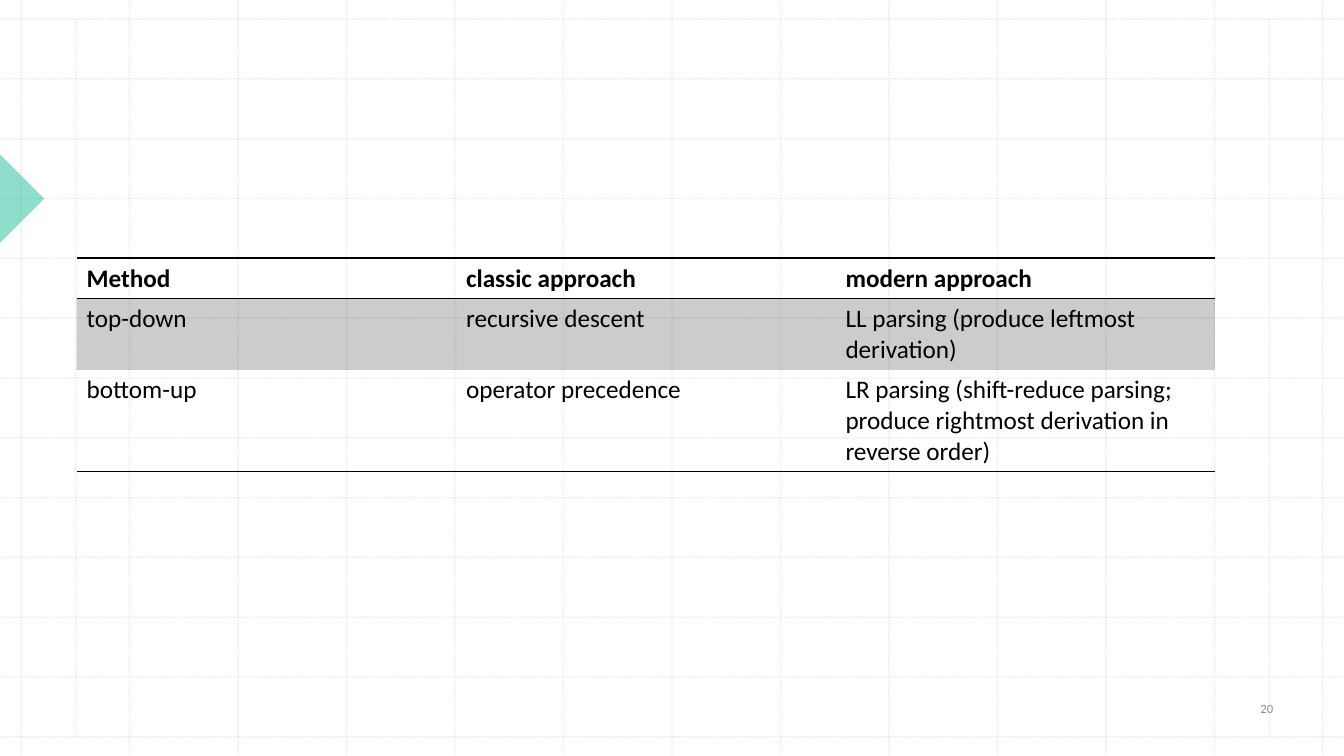
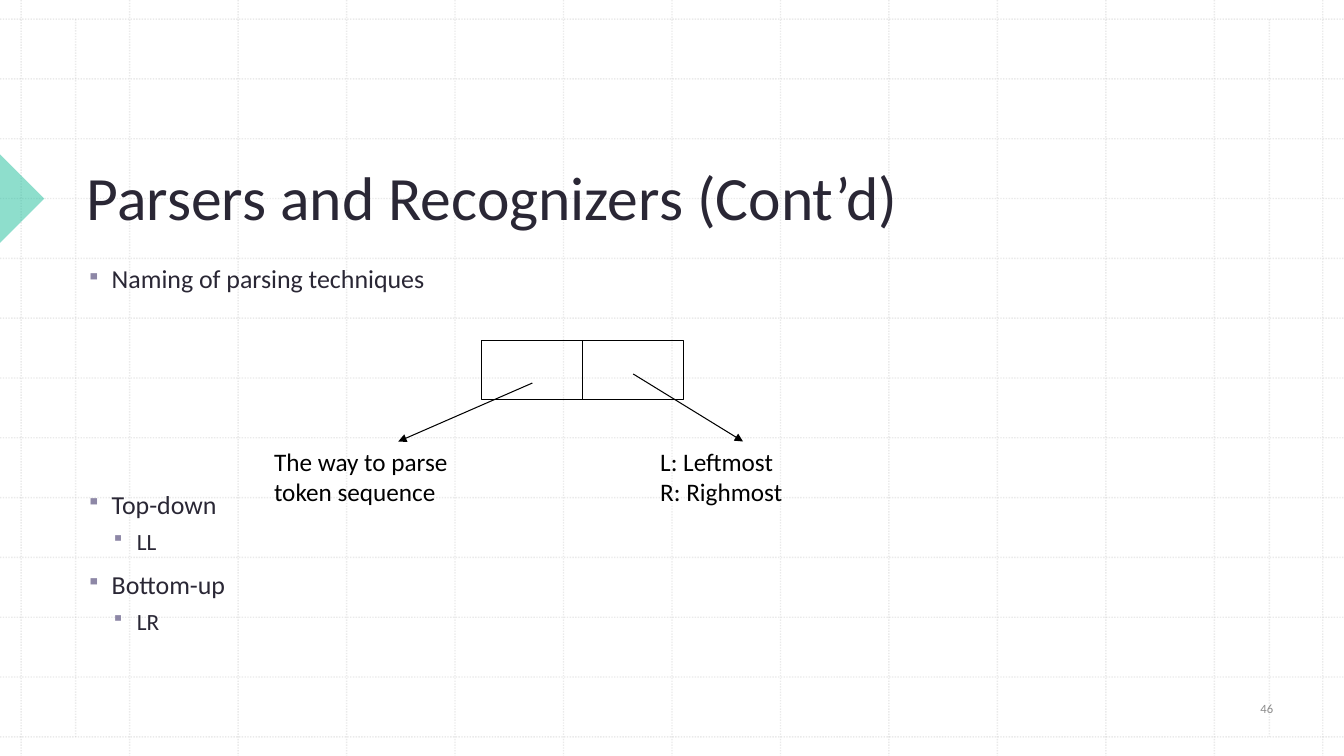
from lxml import etree
from pptx import Presentation
from pptx.dml.color import RGBColor
from pptx.enum.dml import MSO_LINE
from pptx.enum.shapes import MSO_CONNECTOR, MSO_SHAPE
from pptx.enum.text import MSO_ANCHOR, PP_ALIGN
from pptx.oxml.ns import qn
from pptx.util import Inches, Pt

STRAIGHT = MSO_CONNECTOR.STRAIGHT
DOTTED = MSO_LINE.ROUND_DOT
RECT, TRIANGLE = MSO_SHAPE.RECTANGLE, MSO_SHAPE.RIGHT_TRIANGLE
LEFT, CENTER = PP_ALIGN.LEFT, PP_ALIGN.CENTER
MIDDLE, BOTTOM = MSO_ANCHOR.MIDDLE, MSO_ANCHOR.BOTTOM

FONT = "Calibri"
BLACK, INK, BULLET = "000000", "2A2735", "8D87A6"
GRID, ACCENT, MUTED = "BCBCBC", "1EBE9B", "8C8C8C"
NO_TABLE_STYLE = "{2D5ABB26-0587-4C30-8999-92F81FD0307C}"
rgb = RGBColor.from_string


def add_text(tf, text, size=18, color=BLACK, bold=False, align=LEFT,
             before=0, spacing=None, bullet_level=None):
    """Fill the empty first paragraph of tf, or add one after the others."""
    p = tf.paragraphs[0] if not tf.text else tf.add_paragraph()
    p.alignment, p.space_before, p.line_spacing = align, Pt(before), spacing
    r = p.add_run()
    r.text = text
    r.font.name, r.font.size, r.font.bold = FONT, Pt(size), bold
    r.font.color.rgb = rgb(color)
    if bullet_level is not None:
        p.level = bullet_level
        pPr = p._p.get_or_add_pPr()
        pPr.set("marL", str(Inches(0.25 * (bullet_level + 1))))
        pPr.set("indent", str(-Inches(0.25)))
        clr = etree.SubElement(pPr, qn("a:buClr"))
        etree.SubElement(clr, qn("a:srgbClr"), val=BULLET)
        etree.SubElement(pPr, qn("a:buSzPct"), val="75000")
        etree.SubElement(pPr, qn("a:buChar"), char="▪")


def add_line(s, x1, y1, x2, y2, color=BLACK, width=0.75, dotted=False, arrow=False):
    """Draw an arrow or a dotted, mostly transparent grid line."""
    line = s.shapes.add_connector(STRAIGHT, Inches(x1), Inches(y1), Inches(x2), Inches(y2))
    line.line.color.rgb = rgb(color)
    line.line.width = Pt(width)
    spPr = line.element.spPr
    if dotted:
        line.line.dash_style = DOTTED
        etree.SubElement(spPr.find(".//" + qn("a:srgbClr")), qn("a:alpha"), val="30000")
    if arrow:
        etree.SubElement(spPr.find(qn("a:ln")), qn("a:tailEnd"), type="triangle")
    etree.SubElement(spPr, qn("a:effectLst"))


prs = Presentation()
prs.slide_width, prs.slide_height = Inches(13.33), Inches(7.5)
title_only, blank = prs.slide_layouts[5], prs.slide_layouts[6]
methods = prs.slides.add_slide(blank)
naming = prs.slides.add_slide(title_only)

# Shared backdrop: grid, marker and page number
for s, number in ((methods, "20"), (naming, "46")):
    for i in range(13):
        x = 0.21 + i * (13.12 - 0.21) / 12
        y = 0.19 + i * (7.31 - 0.19) / 12
        add_line(s, x, 0, x, 7.5, color=GRID, width=1, dotted=True)
        add_line(s, 0, y, 13.33, y, color=GRID, width=1, dotted=True)
    for x in (0.75, 12.59):
        add_line(s, x, 0.19, x, 7.31, color=GRID, width=1, dotted=True)

    marker = s.shapes.add_shape(TRIANGLE, Inches(-0.31), Inches(1.66), Inches(0.62), Inches(0.62))
    marker.rotation = 225
    marker.shadow.inherit = False
    marker.fill.solid()
    marker.fill.fore_color.rgb = rgb(ACCENT)
    etree.SubElement(marker.element.spPr.find(".//" + qn("a:srgbClr")), qn("a:alpha"), val="50000")
    marker.line.fill.background()

    tf = s.shapes.add_textbox(Inches(12.03), Inches(6.8), Inches(1.07), Inches(0.46)).text_frame
    tf.word_wrap = True
    tf.vertical_anchor = MIDDLE
    add_text(tf, number, size=9, color=MUTED, align=CENTER)

# Slide 1: table of parsing methods
rows = [
    ("Method", "classic approach", "modern approach"),
    ("top-down", "recursive descent", "LL parsing (produce leftmost derivation)"),
    ("bottom-up", "operator precedence",
     "LR parsing (shift-reduce parsing; produce rightmost derivation in reverse order)"),
]
row_heights = (0.4, 0.71, 1.01)
row_borders = (("a:lnT", "a:lnB"), (), ("a:lnB",))
table = methods.shapes.add_table(3, 3, Inches(0.76), Inches(2.56), Inches(11.29),
                                 Inches(sum(row_heights))).table
table.horz_banding = False
table._tbl.tblPr.find(qn("a:tableStyleId")).text = NO_TABLE_STYLE
for i, texts in enumerate(rows):
    table.rows[i].height = Inches(row_heights[i])
    for j, text in enumerate(texts):
        cell = table.cell(i, j)
        add_text(cell.text_frame, text, bold=i == 0)
        tcPr = cell._tc.get_or_add_tcPr()
        for side in row_borders[i]:
            ln = etree.SubElement(tcPr, qn(side), w=str(Pt(1)))
            fill = etree.SubElement(ln, qn("a:solidFill"))
            etree.SubElement(fill, qn("a:srgbClr"), val=BLACK)
        if i == 1:
            cell.fill.solid()
            cell.fill.fore_color.rgb = rgb(BLACK)
            etree.SubElement(tcPr.find(".//" + qn("a:srgbClr")), qn("a:alpha"), val="20000")
        else:
            cell.fill.background()

# Slide 2: title, raised above the grid
s = naming
title = s.shapes.title
s.shapes.element.append(title.element)
title.left, title.top, title.width, title.height = (Inches(v) for v in (0.76, 0.79, 11.29, 1.58))
title.text_frame.vertical_anchor = BOTTOM
add_text(title.text_frame, "Parsers and Recognizers (Cont’d)", size=44, color=INK, spacing=0.9)

# Bullets, with room for the diagram after the first
tf = s.shapes.add_textbox(Inches(0.76), Inches(2.56), Inches(11.29), Inches(3.9)).text_frame
tf.word_wrap = True
for text, level, before in (
    ("Naming of parsing techniques", 0, 0),
    ("Top-down", 0, 139),
    ("LL", 1, 5),
    ("Bottom-up", 0, 10),
    ("LR", 1, 5),
):
    add_text(tf, text, size=16.6 if level else 18.5, color=INK, before=before, bullet_level=level)

# Diagram: two letter boxes, each with an arrow to its meaning
for box_x, label_x, label_w, lines, arrow in (
    (4.78, 2.62, 2.2, ("The way to parse", "token sequence"), (5.28, 3.8, 3.95, 4.38)),
    (5.78, 6.45, 1.64, ("L: Leftmost", "R: Righmost"), (6.28, 3.71, 7.37, 4.38)),
):
    box = s.shapes.add_shape(RECT, Inches(box_x), Inches(3.38), Inches(1), Inches(0.58))
    box.shadow.inherit = False
    box.fill.background()
    box.line.color.rgb = rgb(BLACK)
    box.line.width = Pt(0.75)
    tf = s.shapes.add_textbox(Inches(label_x), Inches(4.38), Inches(label_w), Inches(0.71)).text_frame
    tf.word_wrap = True
    for text in lines:
        add_text(tf, text)
    add_line(s, *arrow, arrow=True)

prs.save("out.pptx")
